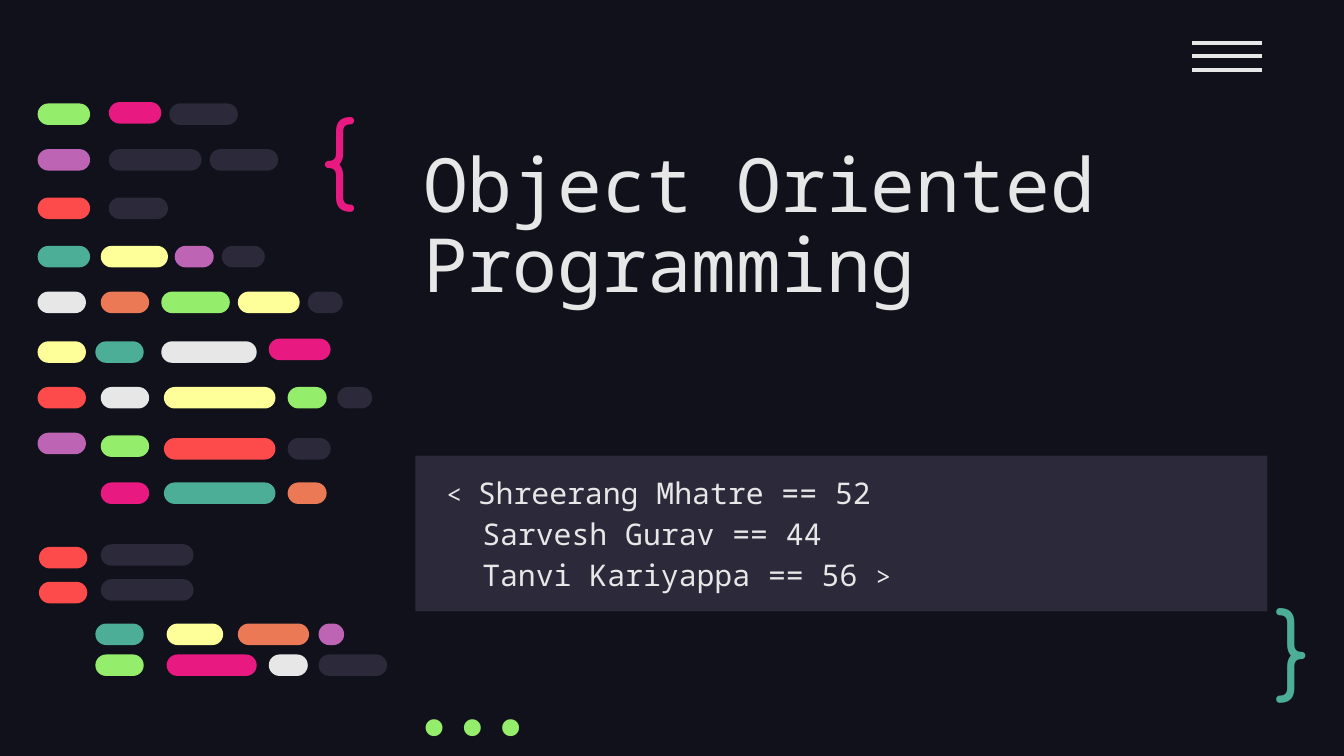
from lxml import etree
from pptx import Presentation
from pptx.dml.color import RGBColor
from pptx.enum.shapes import MSO_CONNECTOR, MSO_SHAPE
from pptx.enum.text import MSO_ANCHOR, PP_ALIGN
from pptx.oxml.ns import qn
from pptx.util import Inches, Pt

RECT, PILL = MSO_SHAPE.RECTANGLE, MSO_SHAPE.ROUNDED_RECTANGLE
LINE = MSO_CONNECTOR.STRAIGHT
TOP, MIDDLE, BOTTOM = MSO_ANCHOR.TOP, MSO_ANCHOR.MIDDLE, MSO_ANCHOR.BOTTOM
LEFT, RIGHT = PP_ALIGN.LEFT, PP_ALIGN.RIGHT

NIGHT = RGBColor(0x10, 0x11, 0x1A)
SLATE = RGBColor(0x2C, 0x29, 0x3A)
WHITE = RGBColor(0xE7, 0xE7, 0xE7)
LIME = RGBColor(0x94, 0xEE, 0x6B)
PINK = RGBColor(0xE8, 0x1A, 0x81)
PURPLE = RGBColor(0xBD, 0x64, 0xB5)
RED = RGBColor(0xFD, 0x4A, 0x4A)
TEAL = RGBColor(0x4C, 0xAE, 0x97)
YELLOW = RGBColor(0xFF, 0xFF, 0x99)
ORANGE = RGBColor(0xEC, 0x79, 0x55)

MONO = "Noto Sans Mono"
WIDTH = Inches(10)
HEIGHT = WIDTH * 9 // 16
CELL = WIDTH // 100
PILL_ROWS = 1.6

CODE_LINES = [
    (0, [(5.3, 3.9, PINK)]),
    (0.1, [(0, 3.9, LIME), (9.8, 5.1, SLATE)]),
    (3.5, [(0, 3.9, PURPLE), (5.3, 6.9, SLATE), (12.8, 5.1, SLATE)]),
    (7.1, [(0, 3.9, RED), (5.3, 4.4, SLATE)]),
    (10.7, [(0, 3.9, TEAL), (4.7, 5, YELLOW), (10.2, 2.9, PURPLE),
            (13.7, 3.2, SLATE)]),
    (14.1, [(0, 3.6, WHITE), (4.7, 3.6, ORANGE), (9.2, 5.1, LIME),
            (14.9, 4.6, YELLOW), (20.1, 2.6, SLATE)]),
    (17.6, [(17.2, 4.6, PINK)]),
    (17.8, [(0, 3.6, YELLOW), (4.3, 3.6, TEAL), (9.2, 7.1, WHITE)]),
    (21.2, [(0, 3.6, RED), (4.7, 3.6, WHITE), (9.4, 8.3, YELLOW),
            (18.6, 2.9, LIME), (22.3, 2.6, SLATE)]),
    (24.6, [(0, 3.6, PURPLE)]),
    (24.8, [(4.7, 3.6, LIME)]),
    (25, [(9.4, 8.3, RED), (18.6, 3.2, SLATE)]),
    (28.3, [(4.7, 3.6, PINK), (9.4, 8.3, TEAL), (18.6, 2.9, ORANGE)]),
    (32.9, [(4.7, 6.9, SLATE)]),
    (33.1, [(0.1, 3.6, RED)]),
    (35.5, [(4.7, 6.9, SLATE)]),
    (35.7, [(0.1, 3.6, RED)]),
    (38.8, [(4.3, 3.6, TEAL), (9.6, 4.2, YELLOW), (14.9, 5.3, ORANGE),
            (20.9, 1.9, PURPLE)]),
    (41.1, [(4.3, 3.6, LIME), (9.6, 6.7, PINK), (17.2, 2.9, WHITE),
            (20.9, 5.1, SLATE)]),
]


def cells(*values):
    """Convert grid cells to lengths."""
    return [round(v * CELL) for v in values]


def apply(obj, **values):
    """Set each named attribute on an object."""
    for name, value in values.items():
        setattr(obj, name, value)


def add_block(slide, kind, box, color):
    """Add a flat filled shape."""
    sp = slide.shapes.add_shape(kind, *cells(*box))
    sp.shadow.inherit = False
    sp.fill.solid()
    sp.fill.fore_color.rgb = color
    sp.line.fill.background()
    return sp


def set_frame(tf, anchor):
    """Wrap a text frame and set its anchor and insets."""
    inset = Inches(0.1)
    apply(tf, word_wrap=True, vertical_anchor=anchor, margin_left=inset,
          margin_right=inset, margin_top=inset, margin_bottom=inset)


def add_run(p, text, size, font, color):
    """Append a styled run to a paragraph."""
    r = p.add_run()
    r.text = text
    apply(r.font, size=Pt(size), name=font)
    r.font.color.rgb = color


def add_label(slide, box, text, size, font, color, anchor=TOP, align=LEFT,
              spacing=1.0):
    """Place a single-style text box."""
    tf = slide.shapes.add_textbox(*cells(*box)).text_frame
    set_frame(tf, anchor)
    p = tf.paragraphs[0]
    apply(p, alignment=align, line_spacing=spacing)
    add_run(p, text, size, font, color)


def add_authors(slide, box):
    """Place the panel of author names."""
    tf = add_block(slide, RECT, box, SLATE).text_frame
    set_frame(tf, TOP)
    paragraphs = [
        (1.33, [[("< ", 14), ("Shreerang Mhatre == 52", 16)]]),
        (4, [[("Sarvesh Gurav == 44", 16)],
             [("Tanvi Kariyappa == 56 ", 16), (">", 14)]]),
    ]
    for i, (indent, lines) in enumerate(paragraphs):
        p = tf.add_paragraph() if i else tf.paragraphs[0]
        apply(p, alignment=LEFT, line_spacing=1.15)
        p._p.get_or_add_pPr().set("marL", str(cells(indent)[0]))
        for j, runs in enumerate(lines):
            if j:
                p.add_line_break()
            for text, size in runs:
                add_run(p, text, size, MONO, WHITE)


def add_menu(slide, box):
    """Draw three evenly spaced menu bars."""
    left, top, width, height = box
    for i in range(3):
        y = top + i * height / 2
        s = slide.shapes.add_connector(LINE, *cells(left, y, left + width, y))
        s.line.color.rgb = WHITE
        s.line.width = Pt(2.25)
        etree.SubElement(s._element.spPr, qn("a:effectLst"))


def add_code(slide, box):
    """Draw the lines of coloured code pills."""
    left, top = box[:2]
    for y, pills in CODE_LINES:
        for x, width, color in pills:
            sp = add_block(slide, PILL,
                           (left + x, top + y, width, PILL_ROWS), color)
            sp.adjustments[0] = 0.5


def main():
    """Build and save the title slide."""
    prs = Presentation()
    apply(prs, slide_width=WIDTH, slide_height=HEIGHT)
    slide = prs.slides.add_slide(prs.slide_layouts[6])
    slide.background.fill.solid()
    slide.background.fill.fore_color.rgb = NIGHT
    add_label(slide, (30.5, 11, 63.4, 13), "Object Oriented Programming",
              40, MONO, WHITE, BOTTOM, spacing=0.9)
    add_authors(slide, (30.9, 33.9, 63.4, 11.6))
    add_label(slide, (22.9, 6.2, 7.7, 9.5), "{", 50, "Comfortaa", PINK)
    add_label(slide, (93.9, 43.8, 5.7, 8.3), "}", 50, "Comfortaa", TEAL,
              MIDDLE)
    add_label(slide, (26.8, 51.1, 15.8, 6), "...", 50, "Fira Code", LIME,
              BOTTOM, RIGHT)
    add_menu(slide, (88.7, 3.2, 5.2, 2))
    add_code(slide, (2.8, 7.6, 26, 42.7))
    prs.save("out.pptx")


if __name__ == "__main__":
    main()
